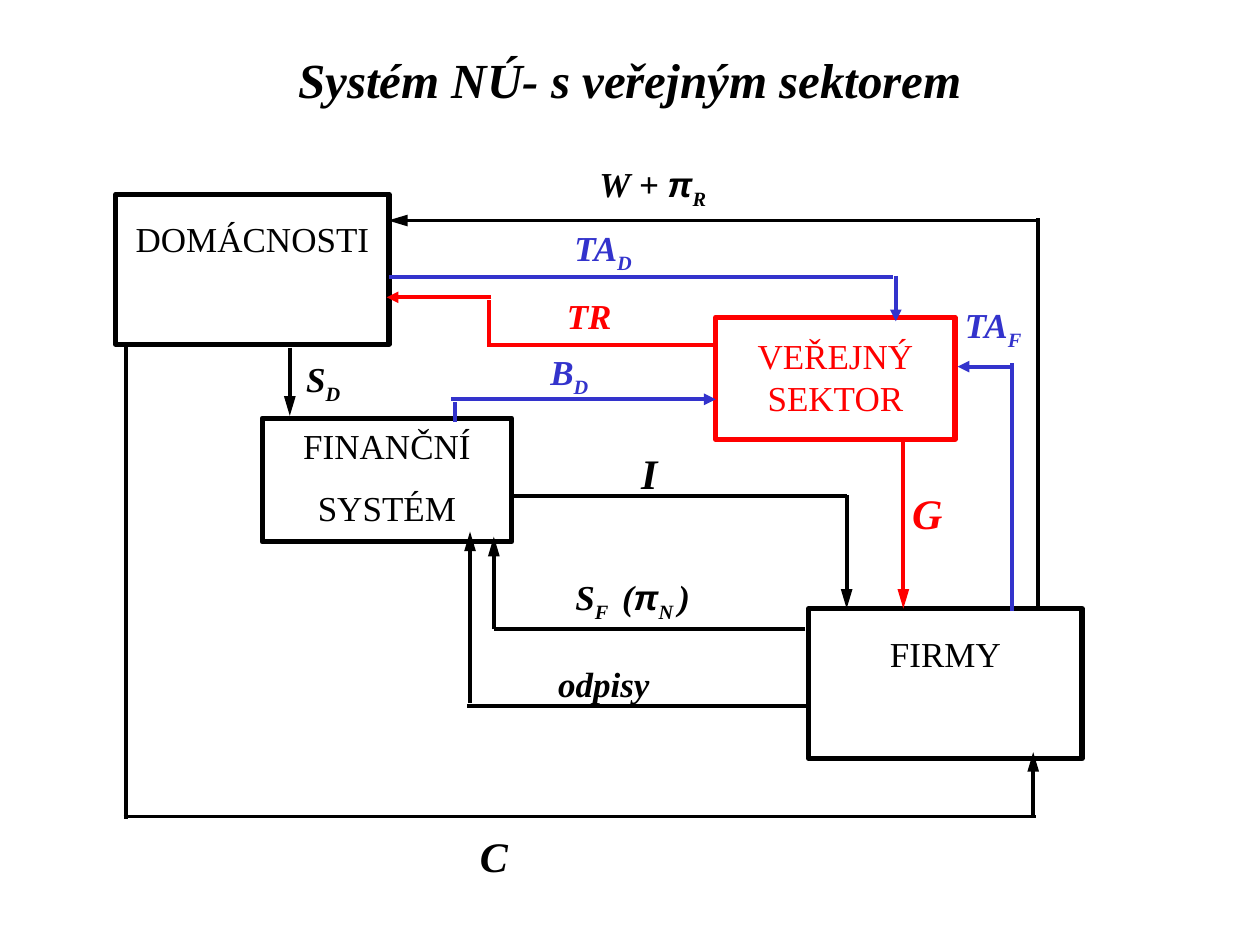
from lxml import etree
from pptx import Presentation
from pptx import util as u
from pptx.dml.color import RGBColor
from pptx.enum import shapes, text
from pptx.oxml import ns

BLACK, RED, BLUE = "000000", "FF0000", "3333CC"
SERIF, SANS = "Times New Roman", "Arial"
PLAIN, SUB, GREEK = "plain", "sub", "greek"


def color(value):
    return RGBColor.from_string(value)


class Diagram:
    box_line = 3
    flow_line = 2.25
    gap = 11.5

    def __init__(self, page):
        self.page = page

    def add_spans(self, para, spans, ink, size, emphasis):
        """Add (words, kind) spans to a paragraph as separate runs."""
        for words, kind in spans:
            span = para.add_run()
            span.text = words
            font = span.font
            font.name = SANS if kind == GREEK else SERIF
            font.size = u.Pt(size)
            font.bold = font.italic = emphasis
            font.color.rgb = color(ink)
            if kind == SUB:
                font._element.set("baseline", "-25000")

    def box(self, lines, left, top, width, height, inset, ink=BLACK):
        box = self.page.shapes.add_shape(
            shapes.MSO_SHAPE.RECTANGLE, u.Pt(left), u.Pt(top), u.Pt(width), u.Pt(height))
        box.shadow.inherit = False
        box.fill.background()
        box.line.color.rgb = color(ink)
        box.line.width = u.Pt(self.box_line)
        frame = box.text_frame
        frame.word_wrap = True
        frame.vertical_anchor = text.MSO_ANCHOR.TOP
        frame.margin_top = frame.margin_bottom = u.Pt(inset)
        for index, words in enumerate(lines):
            para = frame.add_paragraph() if index else frame.paragraphs[0]
            para.alignment = text.PP_ALIGN.CENTER
            para.space_before = u.Pt(self.gap if index else 0)
            self.add_spans(para, [(words, PLAIN)], ink, 20, False)

    def line(self, start, end, ink=BLACK, arrow=None):
        """Draw a straight line; arrow is the length of the head at its end."""
        line = self.page.shapes.add_connector(
            shapes.MSO_CONNECTOR.STRAIGHT, *(u.Pt(value) for value in start + end))
        line.line.color.rgb = color(ink)
        line.line.width = u.Pt(self.flow_line)
        if arrow:
            etree.SubElement(line.line._get_or_add_ln(), ns.qn("a:tailEnd"),
                             type="triangle", w="med", len=arrow)
        etree.SubElement(line._element.spPr, ns.qn("a:effectLst"))

    def label(self, spans, left, top, width, height=31, ink=BLACK, size=20, centered=False):
        box = self.page.shapes.add_textbox(
            u.Pt(left), u.Pt(top), u.Pt(width), u.Pt(height))
        frame = box.text_frame
        frame.word_wrap = True
        para = frame.paragraphs[0]
        if centered:
            frame.vertical_anchor = text.MSO_ANCHOR.MIDDLE
            para.alignment = text.PP_ALIGN.CENTER
        self.add_spans(para, spans, ink, size, True)


def main():
    deck = Presentation()
    deck.slide_width, deck.slide_height = u.Pt(720), u.Pt(540)
    diagram = Diagram(deck.slides.add_slide(deck.slide_layouts[6]))

    diagram.box(["DOMÁCNOSTI"], 66.2, 111, 156.2, 85.7, 13.5)
    diagram.box(["FIRMY"], 462.2, 347.8, 156.2, 85.7, 13.5)
    diagram.box(["FINANČNÍ", "SYSTÉM"], 149.8, 239, 142.6, 70.6, 3.6)
    diagram.box(["VEŘEJNÝ SEKTOR"], 409, 181.4, 136.8, 69.8, 10, RED)

    flows = [
        # wages and profit
        ((593.3, 124.6), (593.3, 349.2), BLACK, None),
        ((593.3, 126), (221.8, 126), BLACK, "lg"),
        # consumption
        ((72, 195.8), (72, 468), BLACK, None),
        ((70.6, 466.6), (591.8, 466.6), BLACK, None),
        ((590.4, 466.6), (590.4, 429.8), BLACK, "lg"),
        # household savings
        ((165.6, 198.7), (165.6, 237.6), BLACK, "lg"),
        # investment
        ((293.8, 283.7), (483.8, 283.7), BLACK, None),
        ((483.8, 283), (483.8, 347.8), BLACK, "lg"),
        # depreciation
        ((463, 403.2), (267.1, 403.2), BLACK, None),
        ((268.6, 401.8), (268.6, 303.8), BLACK, "lg"),
        # company savings
        ((460.1, 359.3), (282.2, 359.3), BLACK, None),
        ((282.2, 359.3), (282.2, 306.7), BLACK, "lg"),
        # government purchases
        ((516.2, 249.8), (516.2, 347.8), RED, "lg"),
        # company taxes
        ((578.2, 349.2), (578.2, 207.4), BLUE, None),
        ((577.4, 209.5), (547.2, 209.5), BLUE, "med"),
        # household taxes
        ((222.5, 158.4), (510.5, 158.4), BLUE, None),
        ((511.9, 157.7), (511.9, 183.6), BLUE, "med"),
        # bonds
        ((259.9, 241.2), (259.9, 229.7), BLUE, None),
        ((257.8, 228.2), (409, 228.2), BLUE, "med"),
        # transfers
        ((409, 197.3), (280.8, 197.3), RED, None),
        ((279.4, 198), (279.4, 171.4), RED, None),
        ((280.8, 169.9), (221, 169.9), RED, "med"),
    ]
    for flow in flows:
        diagram.line(*flow)

    diagram.label([("W + ", PLAIN), ("π", GREEK), ("R", SUB)], 335.5, 89.3, 100.8)
    diagram.label([("S", PLAIN), ("D", SUB)], 167.8, 200.9, 43.2)
    diagram.label([("S", PLAIN), ("F ", SUB), (" (", PLAIN), ("π", GREEK),
                   ("N ", SUB), (")", PLAIN)], 321.8, 325.4, 100.8)
    diagram.label([("odpisy", PLAIN)], 311.8, 375.1, 123.8)
    diagram.label([("TR", PLAIN)], 316.8, 164.9, 53.3, ink=RED)
    diagram.label([("TA", PLAIN), ("D", SUB)], 321.1, 126, 51.8, ink=BLUE)
    diagram.label([("TA", PLAIN), ("F", SUB)], 544.3, 169.9, 51.8, ink=BLUE)
    diagram.label([("B", PLAIN), ("D", SUB)], 307.4, 196.6, 43.2, ink=BLUE)
    for letter, left, top, ink in [("C", 267.1, 470.9, BLACK), ("I", 359.3, 252, BLACK),
                                   ("G", 514.1, 275, RED)]:
        diagram.label([(letter, PLAIN)], left, top, 33.8, 36, ink, 24)
    diagram.label([("Systém NÚ- s veřejným sektorem", PLAIN)], 54, 0, 612, 90,
                  size=28, centered=True)

    deck.save("out.pptx")


if __name__ == "__main__":
    main()
